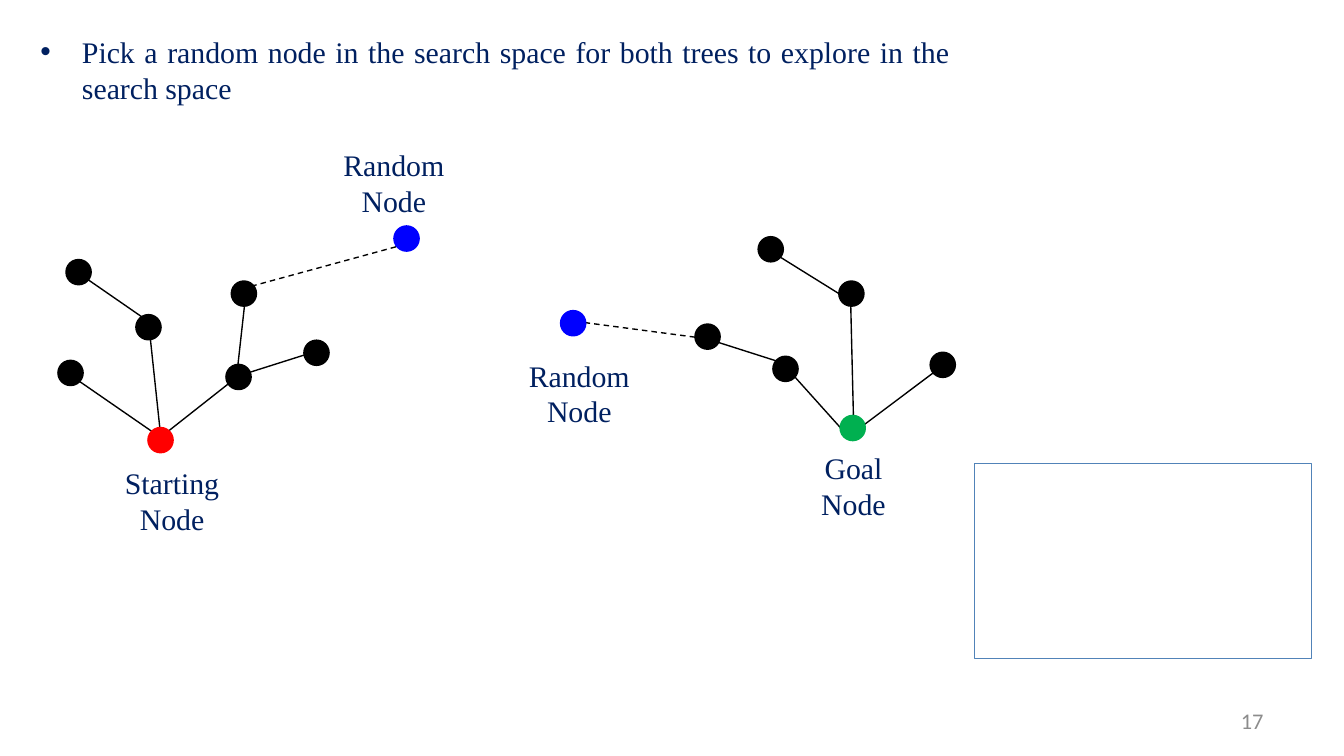
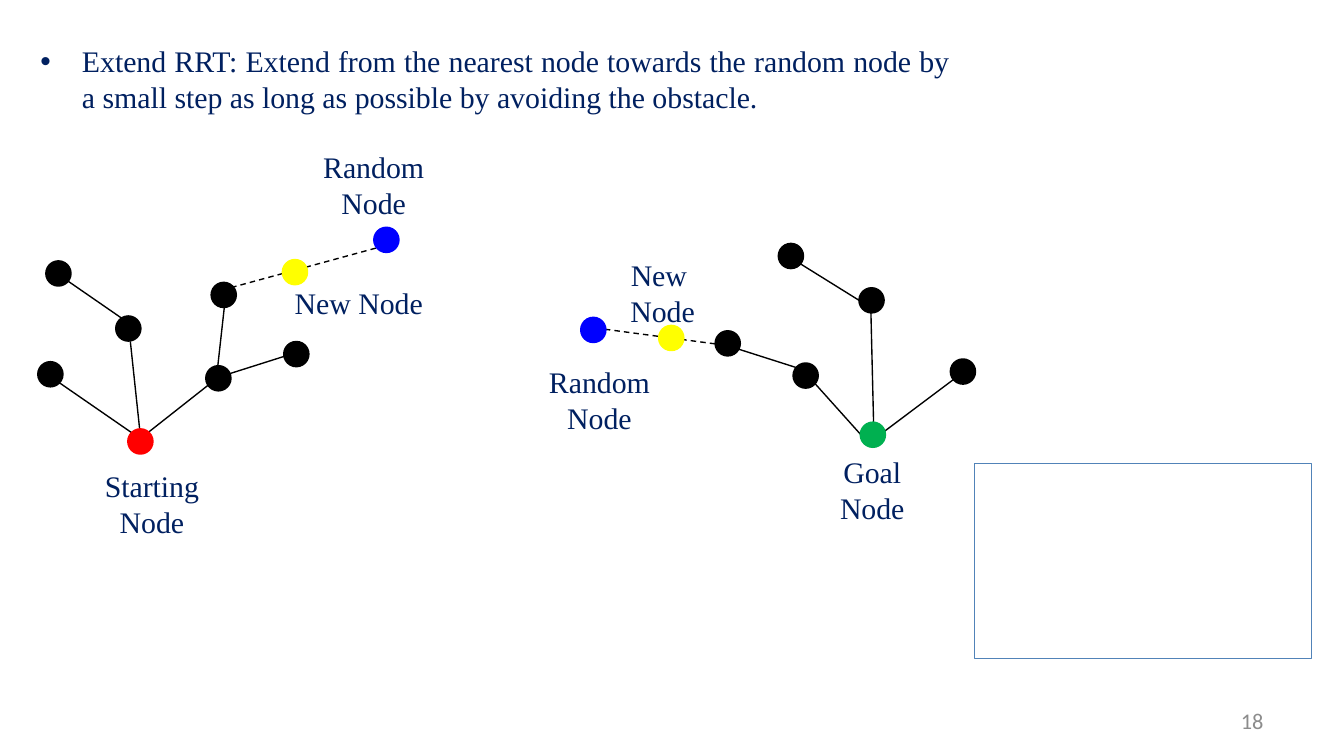
import pptx
import pptx.util
import pptx.dml.color
import pptx.enum.dml
import pptx.enum.shapes
import pptx.enum.text
import pptx.oxml

Inches, Pt = pptx.util.Inches, pptx.util.Pt
ALIGN = pptx.enum.text.PP_ALIGN
ANCHOR = pptx.enum.text.MSO_ANCHOR
SHAPE = pptx.enum.shapes.MSO_SHAPE

NAVY, BLACK, RED, GREEN = "002060", "000000", "FF0000", "00B050"
BLUE, YELLOW, GRAY, FRAME = "0000FF", "FFFF00", "8C8C8C", "5183B8"
SERIF = {"name": "Times New Roman", "size": Pt(16)}
SANS = {"name": "Calibri", "size": Pt(12)}
DOT = 0.17


def rgb(code):
    return pptx.dml.color.RGBColor.from_string(code)


def write(shape, text, fmt, color, align, anchor=ANCHOR.TOP):
    tf = shape.text_frame
    tf.word_wrap = True
    tf.vertical_anchor = anchor
    tf.text = text
    for p in tf.paragraphs:
        p.alignment = align
        p.space_before = Pt(0)
        for r in p.runs:
            for key, value in fmt.items():
                setattr(r.font, key, value)
            r.font.color.rgb = rgb(color)
    return tf


# Trees: nodes (left, top, colour) and edges (x1, y1, x2, y2, dashed)
start_tree = {
    "nodes": [(1.11, 3.19, RED), (1.02, 2.35, BLACK), (0.44, 2.69, BLACK),
              (1.69, 2.72, BLACK), (2.27, 2.54, BLACK), (1.73, 2.1, BLACK),
              (0.5, 1.94, BLACK), (2.94, 1.69, BLUE)],
    "edges": [(0.58, 2.83, 1.13, 3.21, False), (1.12, 2.53, 1.19, 3.19, False),
              (1.72, 2.84, 1.25, 3.21, False), (0.61, 2.05, 1.16, 2.43, False),
              (1.82, 2.27, 1.77, 2.72, False), (2.27, 2.64, 1.86, 2.77, False),
              (1.87, 2.13, 2.97, 1.83, True)],
}
goal_tree = {
    "nodes": [(6.26, 3.1, GREEN), (6.93, 2.63, BLACK), (6.25, 2.1, BLACK),
              (5.76, 2.66, BLACK), (5.18, 2.42, BLACK), (5.65, 1.77, BLACK),
              (4.18, 2.32, BLUE)],
    "edges": [(5.91, 2.8, 6.26, 3.19, False), (6.33, 2.27, 6.35, 3.1, False),
              (6.95, 2.77, 6.43, 3.16, False), (5.8, 1.91, 6.25, 2.19, False),
              (5.79, 2.69, 5.32, 2.54, False), (4.35, 2.4, 5.18, 2.51, True)],
}

# Slides: tree shifts, new nodes, and labels (text, left, top, width, height)
slides = [
    {"number": "17", "top": 0.2,
     "text": "Pick a random node in the search space for both trees to explore "
             "in the search space",
     "shifts": [(0, 0), (0, 0)],
     "new_nodes": [],
     "labels": [("Starting Node", 0.82, 3.41, 0.92, 0.64),
                ("Random Node", 2.42, 1.04, 1.02, 0.64),
                ("Goal Node", 5.89, 3.3, 0.92, 0.64),
                ("Random Node", 3.8, 2.61, 1.02, 0.64)]},
    {"number": "18", "top": 0.27,
     "text": "Extend RRT: Extend from the nearest node towards the random node "
             "by a small step as long as possible by avoiding the obstacle.",
     "shifts": [(-0.15, 0.01), (0.15, 0.05)],
     "new_nodes": [(2.11, 1.94, YELLOW), (4.91, 2.43, YELLOW)],
     "labels": [("Starting Node", 0.67, 3.43, 0.92, 0.64),
                ("Random Node", 2.27, 1.06, 1.02, 0.64),
                ("New Node", 2.06, 2.07, 1.22, 0.37),
                ("Random Node", 3.95, 2.66, 1.02, 0.64),
                ("New \nNode", 4.32, 1.86, 1.22, 0.64),
                ("Goal Node", 6.03, 3.33, 0.92, 0.64)]},
]

# Widescreen page, 16:9
prs = pptx.Presentation()
prs.slide_width = Inches(10)
prs.slide_height = prs.slide_width * 9 // 16

for page in slides:
    s = prs.slides.add_slide(prs.slide_layouts[1])
    title = s.shapes.title
    title.element.getparent().remove(title.element)

    # Frame at the lower right
    sp = s.shapes.add_shape(SHAPE.RECTANGLE, Inches(7.25), Inches(3.45),
                            Inches(2.51), Inches(1.45))
    sp.shadow.inherit = False
    sp.fill.background()
    sp.line.color.rgb = rgb(FRAME)
    sp.line.width = Pt(0.25)

    # Slide number
    sp = s.shapes.add_textbox(Inches(7.17), Inches(5.21), Inches(2.33), Inches(0.3))
    write(sp, page["number"], SANS, GRAY, ALIGN.RIGHT, ANCHOR.MIDDLE)

    # Bulleted statement
    body = s.placeholders[1]
    body.left, body.top = Inches(0.2), Inches(page["top"])
    body.width, body.height = Inches(6.97), Inches(0.64)
    tf = write(body, page["text"], SERIF, NAVY, ALIGN.JUSTIFY)
    tf.auto_size = pptx.enum.text.MSO_AUTO_SIZE.SHAPE_TO_FIT_TEXT
    pPr = tf.paragraphs[0]._p.get_or_add_pPr()
    pPr.set("marL", str(Inches(0.31)))
    pPr.set("indent", str(-Inches(0.31)))

    # Edges, then nodes, of both trees
    nodes = []
    for tree, (dx, dy) in zip((start_tree, goal_tree), page["shifts"]):
        nodes += [(x + dx, y + dy, color) for x, y, color in tree["nodes"]]
        for x1, y1, x2, y2, dashed in tree["edges"]:
            line = s.shapes.add_connector(
                pptx.enum.shapes.MSO_CONNECTOR.STRAIGHT,
                Inches(x1 + dx), Inches(y1 + dy), Inches(x2 + dx), Inches(y2 + dy))
            line.line.color.rgb = rgb(BLACK)
            line.line.width = Pt(0.75)
            if dashed:
                line.line.dash_style = pptx.enum.dml.MSO_LINE.DASH
            line.element.spPr.append(pptx.oxml.parse_xml(
                '<a:effectLst xmlns:a='
                '"http://schemas.openxmlformats.org/drawingml/2006/main"/>'))

    for x, y, color in nodes + page["new_nodes"]:
        sp = s.shapes.add_shape(SHAPE.OVAL, Inches(x), Inches(y),
                                Inches(DOT), Inches(DOT))
        sp.shadow.inherit = False
        sp.fill.solid()
        sp.fill.fore_color.rgb = rgb(color)
        sp.line.color.rgb = rgb(color)
        sp.line.width = Pt(2)

    # Node labels
    for text, *box in page["labels"]:
        sp = s.shapes.add_textbox(*map(Inches, box))
        write(sp, text, SERIF, NAVY, ALIGN.CENTER)

prs.save("out.pptx")
